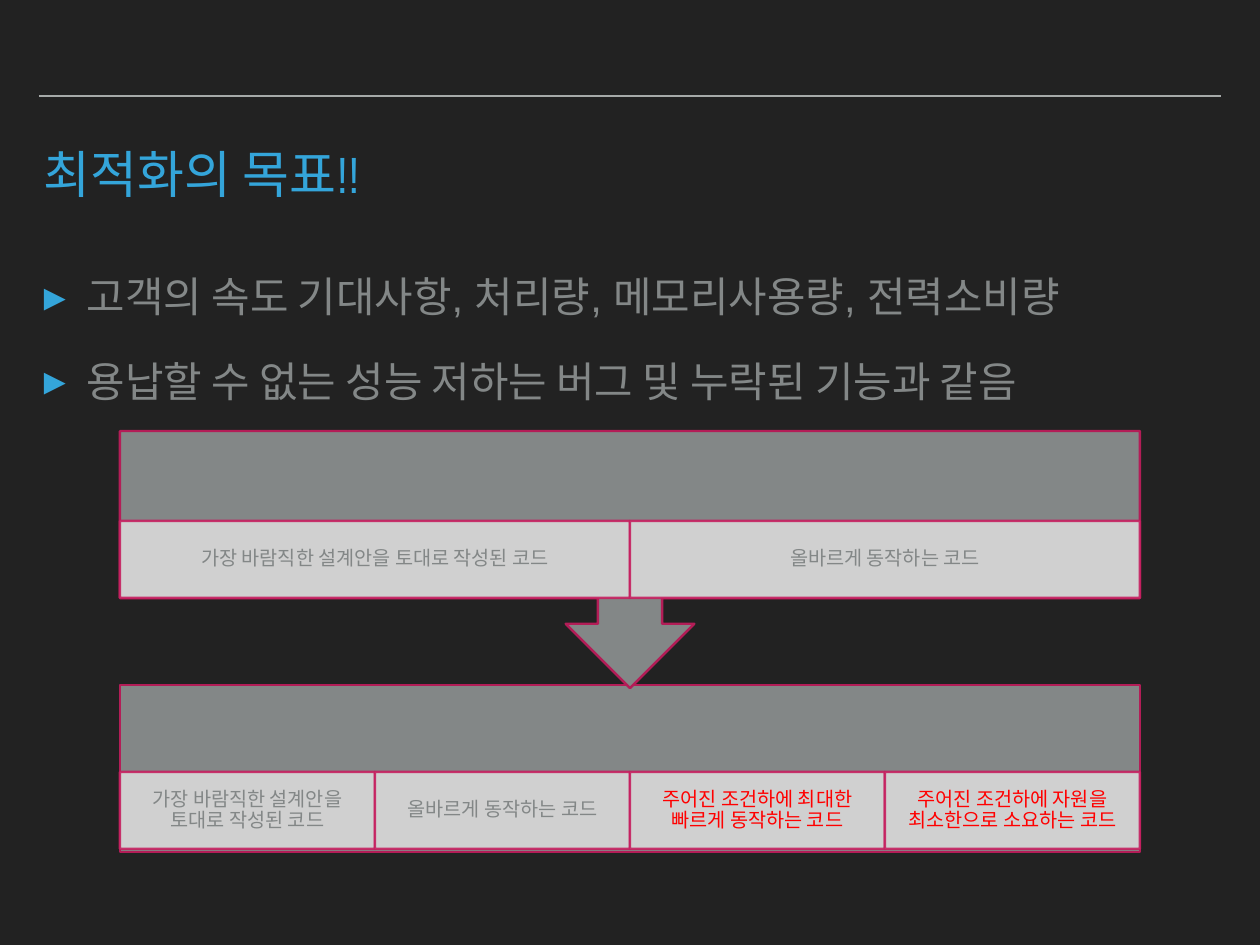
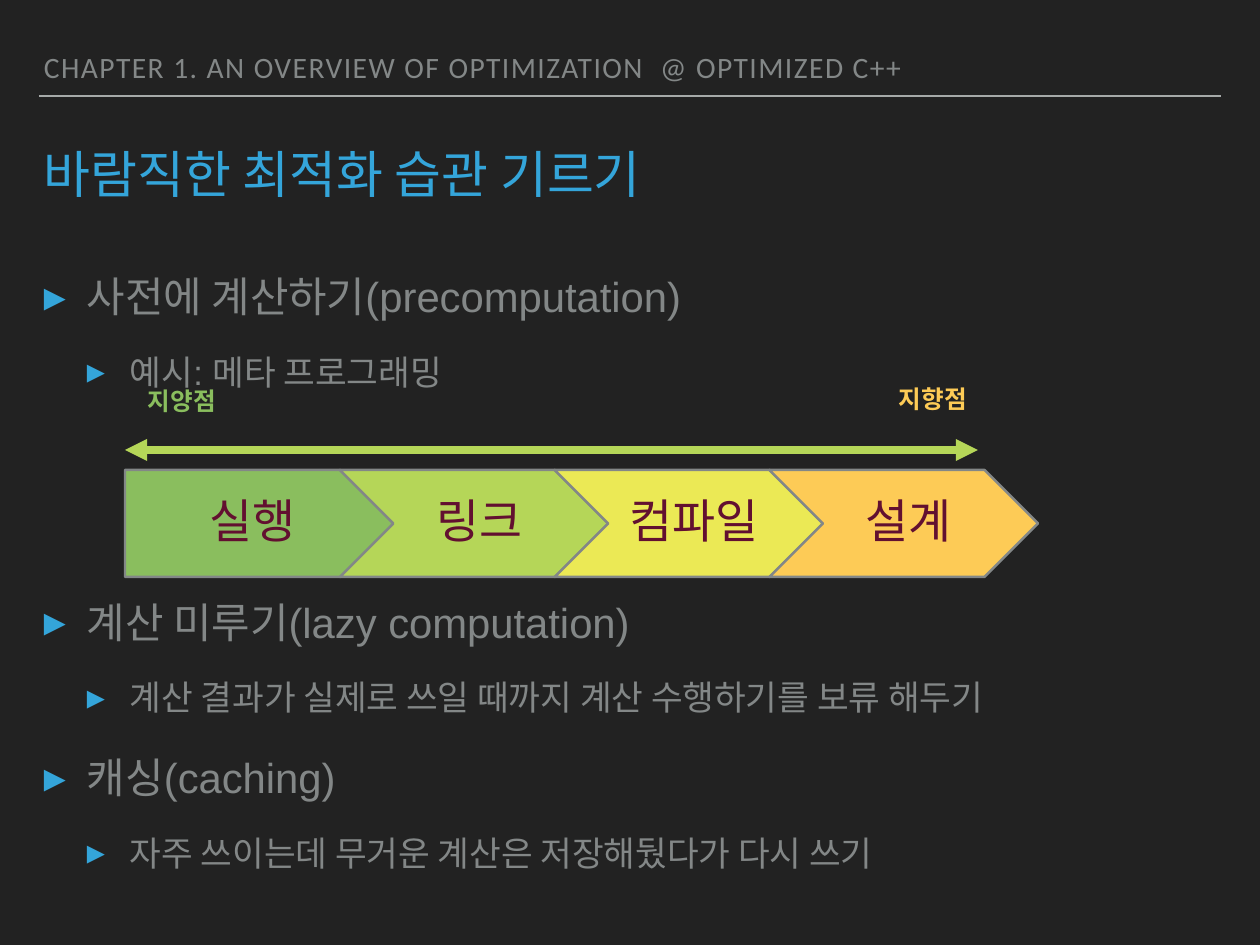
from lxml import etree
from pptx import Presentation
from pptx import util as u
from pptx.dml import color
from pptx.enum import shapes, text
from pptx.oxml import ns

PX = 10321  # EMU in one px
HEX = {
    "back": "222222", "rule": "A6AAA9", "blue": "34A5DA", "gray": "838787",
    "edge": "B31D57", "pink": "C52060", "cell": "D9D9D9", "red": "FF0000",
    "wine": "621030", "green": "8ABE5E", "lime": "B5D658",
    "lemon": "EBE955", "gold": "FDCB56",
}
KIND = shapes.MSO_SHAPE
MID, LOW = text.MSO_ANCHOR.MIDDLE, text.MSO_ANCHOR.BOTTOM
MAIN = {"size": 34, "before": 28, "level": 0}
SUB = {"size": 28, "before": 24, "level": 1}


# Basic helpers
def px(*vals):
    return [round(v * PX) for v in vals]


def rgb(name):
    return color.RGBColor.from_string(HEX[name])


def put(obj, **vals):
    for key, val in vals.items():
        setattr(obj, key, val)


def sub(node, tag, **vals):
    return etree.SubElement(node, ns.qn(tag), vals)


def fade(node, pct):
    for fill in node.findall(ns.qn("a:solidFill")):
        sub(fill[0], "a:alpha", val=str(pct * 1000))


def frame(shape, pads=(5, 5, 5, 5), **vals):
    body = shape.text_frame
    sides = ("left", "top", "right", "bottom")
    put(body, **{"margin_" + s: p for s, p in zip(sides, px(*pads))})
    put(body, **{"word_wrap": True, **vals})
    return body


def write(par, words, size, tint, font="Arial", bold=False, **form):
    put(par, **form)
    run = par.add_run()
    run.text = words
    put(run.font, name=font, size=u.Pt(size), bold=bold)
    run.font.color.rgb = rgb(tint)
    return run


def label(page, box, words, size, tint, font="Arial", form=None, **vals):
    item = page.shapes.add_textbox(*px(*box))
    body = frame(item, **vals)
    return write(body.paragraphs[0], words, size, tint, font, **(form or {}))


def block(page, kind, box, fill, edge):
    item = page.shapes.add_shape(kind, *px(*box))
    item.shadow.inherit = False
    item.fill.solid()
    item.fill.fore_color.rgb = rgb(fill)
    item.line.color.rgb = rgb(edge)
    item.line.width = u.Pt(2)
    return item


def rule(page, left, right, y, tint, width, ends=()):
    item = page.shapes.add_connector(
        shapes.MSO_CONNECTOR.STRAIGHT, *px(left, y, right, y))
    item.line.color.rgb = rgb(tint)
    item.line.width = u.Pt(width)
    props = item._element.spPr
    sub(props, "a:effectLst")
    for end in ends:
        sub(props.find(ns.qn("a:ln")), end, type="triangle")


# Parts common to the slides
def start(deck, title):
    page = deck.slides.add_slide(deck.slide_layouts[6])
    page.background.fill.solid()
    page.background.fill.fore_color.rgb = rgb("back")
    rule(page, 39, 1221, 96, "rule", 2)
    label(page, (39, 149, 1181, 70), title, 41.4, "blue", "Arial Narrow",
          {"line_spacing": 0.8, "space_before": u.Pt(19)})
    return page


def points(page, box, rows):
    body = frame(page.shapes.add_textbox(*px(*box)))
    for i, (words, form, gap) in enumerate(rows):
        par = body.add_paragraph() if i else body.paragraphs[0]
        level = form["level"]
        write(par, words, form["size"], "gray", level=level,
              space_before=u.Pt(form["before"] + gap))
        props = par._p.get_or_add_pPr()
        step = px(43)[0]
        props.set("marL", str(step * (level + 1)))
        props.set("indent", str(-step))
        sub(sub(props, "a:buClr"), "a:srgbClr", val=HEX["blue"])
        sub(props, "a:buSzPct", val="105000")
        sub(props, "a:buFont", typeface="Arial")
        sub(props, "a:buChar", char="▸")


# Row of equal cells
def cells(page, box, items):
    left, top, wide, high = box
    step = wide / len(items)
    for i, (words, tint) in enumerate(items):
        item = block(page, KIND.RECTANGLE,
                     (left + i * step, top, step, high), "cell", "pink")
        props = item._element.spPr
        fade(props, 90)
        fade(props.find(ns.qn("a:ln")), 90)
        body = frame(item, (11, 2, 11, 2), vertical_anchor=MID)
        write(body.paragraphs[0], words, 16, tint, "Arial Narrow",
              alignment=text.PP_ALIGN.CENTER, line_spacing=0.9)


# Two panels, the upper one pointing at the lower
def goals(page, box):
    left, top, wide, high = box
    base = [("가장 바람직한 설계안을 토대로 작성된 코드", "gray"),
            ("올바르게 동작하는 코드", "gray")]
    more = [("주어진 조건하에 최대한 빠르게 동작하는 코드", "red"),
            ("주어진 조건하에 자원을 최소한으로 소요하는 코드", "red")]
    block(page, KIND.RECTANGLE, (left, top + high - 167, wide, 167),
          "gray", "edge")
    cells(page, (left, top + high - 80, wide, 77), base + more)
    call = block(page, KIND.UP_ARROW_CALLOUT, (left, top, wide, 257),
                 "gray", "edge")
    call.rotation = 180
    cells(page, (left, top + 90, wide, 77), base)


# Chain of overlapping steps with a two-way arrow above
def chain(page, box):
    left, top, wide, high = box
    steps = [("실행", "green"), ("링크", "lime"),
             ("컴파일", "lemon"), ("설계", "gold")]
    lap = 0.8
    size = wide / (1 + lap * (len(steps) - 1))
    for i, (words, fill) in enumerate(steps):
        kind = KIND.CHEVRON if i else KIND.PENTAGON
        item = block(page, kind, (left + i * lap * size, top, size, high),
                     fill, "gray")
        body = frame(item, (15 if i else 19, 10, 5, 10), vertical_anchor=MID)
        write(body.paragraphs[0], words, 38, "wine", "Arial Narrow",
              alignment=text.PP_ALIGN.CENTER, line_spacing=0.9)
    rule(page, left, left + 853, top - 20, "lime", 6,
         ("a:headEnd", "a:tailEnd"))
    for words, tint, x, y in (("지향점", "gold", 769, 106),
                              ("지양점", "green", 18, 104)):
        label(page, (left + x, top - y, 84, 70), words, 20, tint,
              form={"bold": True, "space_before": u.Pt(24)},
              vertical_anchor=MID, word_wrap=False)


def main():
    deck = Presentation()
    put(deck, slide_width=px(1260)[0], slide_height=px(945)[0])
    area = (39, 266, 1181, 592)

    # Goals slide
    page = start(deck, "최적화의 목표!!")
    points(page, area, [
        ("고객의 속도 기대사항, 처리량, 메모리사용량, 전력소비량", MAIN, 0),
        ("용납할 수 없는 성능 저하는 버그 및 누락된 기능과 같음", MAIN, 0)])
    goals(page, (120, 431, 1020, 421))

    # Habits slide
    page = start(deck, "바람직한 최적화 습관 기르기")
    head = label(page, (39, 50, 1083, 39),
                 "CHAPTER 1. AN OVERVIEW OF OPTIMIZATION  @ OPTIMIZED C++",
                 24, "gray", "Calibri", {"line_spacing": 0.8},
                 vertical_anchor=LOW)
    head.font._element.set("spc", "120")
    points(page, area, [
        ("사전에 계산하기(precomputation)", MAIN, 0),
        ("예시: 메타 프로그래밍", SUB, 0),
        ("계산 미루기(lazy computation)", MAIN, 138),
        ("계산 결과가 실제로 쓰일 때까지 계산 수행하기를 보류 해두기", SUB, 0),
        ("캐싱(caching)", MAIN, 0),
        ("자주 쓰이는데 무거운 계산은 저장해뒀다가 다시 쓰기", SUB, 0)])
    chain(page, (125, 470, 913, 107))

    deck.save("out.pptx")


if __name__ == "__main__":
    main()
